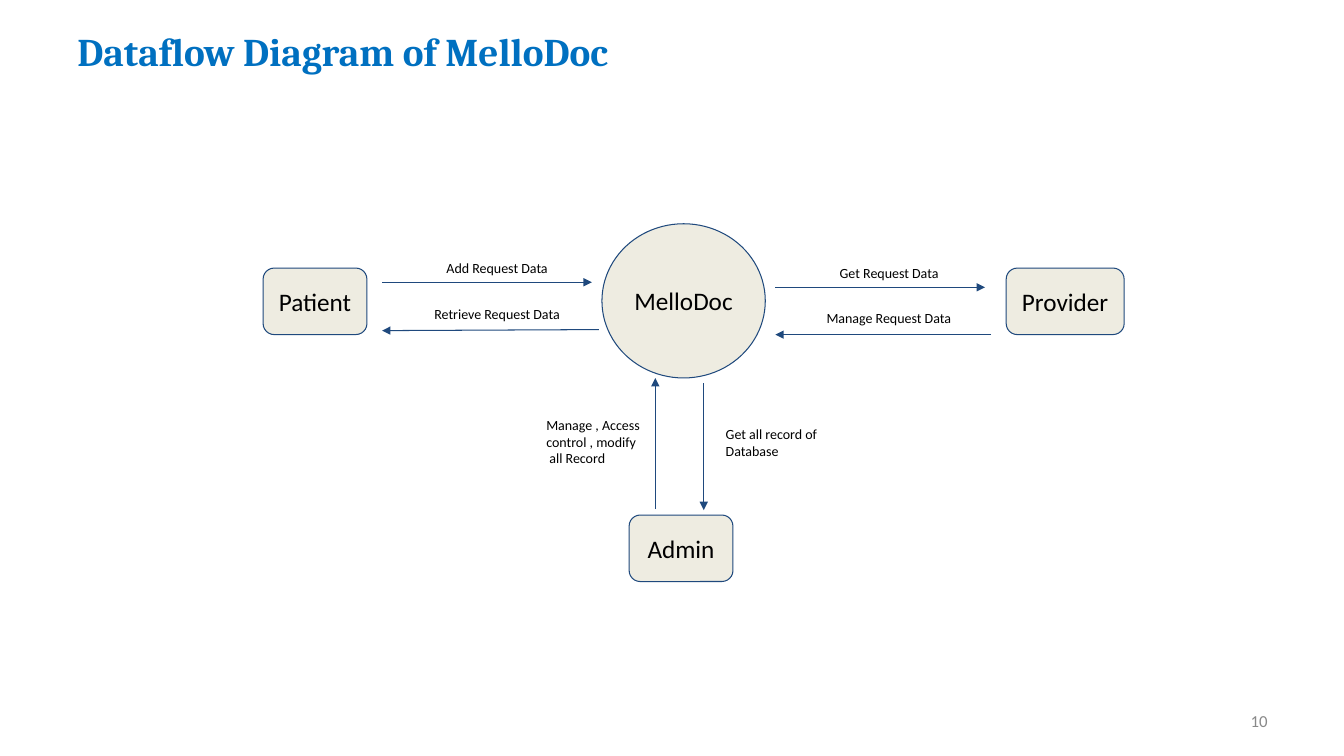
from dataclasses import dataclass

from lxml.etree import SubElement
from pptx import Presentation
from pptx.dml.color import RGBColor
from pptx.enum.shapes import MSO_CONNECTOR, MSO_SHAPE
from pptx.enum.text import MSO_ANCHOR, PP_ALIGN
from pptx.oxml.ns import qn
from pptx.util import Inches, Pt

NAVY, CREAM, BLUE, BLACK, GRAY = "1F497D", "EEECE1", "0070C0", "000000", "898989"
SYSTEM = "MelloDoc"


@dataclass
class Node:
    text: str
    left: float
    top: float
    width: float
    height: float
    preset: MSO_SHAPE = MSO_SHAPE.ROUNDED_RECTANGLE


@dataclass
class Flow:
    start: tuple[float, float]
    end: tuple[float, float]


@dataclass
class Label:
    text: str
    left: float
    top: float
    width: float
    height: float
    anchor: MSO_ANCHOR = MSO_ANCHOR.MIDDLE


NODES = [
    Node("Admin", 6.24, 5.11, 1.03, 0.66),
    Node(SYSTEM, 5.97, 2.22, 1.62, 1.53, MSO_SHAPE.OVAL),
    Node("Provider", 9.98, 2.66, 1.17, 0.66),
    Node("Patient", 2.61, 2.66, 1.03, 0.66),
]
FLOWS = [
    Flow((3.79, 2.8), (5.87, 2.8)),
    Flow((5.94, 3.27), (3.79, 3.28)),
    Flow((7.69, 2.85), (9.77, 2.85)),
    Flow((9.83, 3.32), (7.69, 3.32)),
    Flow((6.98, 3.8), (6.98, 5.06)),
    Flow((6.5, 5.05), (6.5, 3.75)),
]
LABELS = [
    Label("Add Request Data", 4.33, 2.56, 1.32, 0.2),
    Label("Retrieve Request Data", 4.21, 2.95, 1.54, 0.37, MSO_ANCHOR.TOP),
    Label("Get Request Data", 8.23, 2.61, 1.32, 0.2),
    Label("Manage Request Data", 8.1, 2.99, 1.54, 0.37, MSO_ANCHOR.TOP),
    Label("Get all record of\nDatabase", 7.1, 4.09, 1.86, 0.59),
    Label("Manage , Access control , modify\n all Record", 5.32, 4.03, 1.32, 0.7,
          MSO_ANCHOR.TOP),
]


def color(value: str) -> RGBColor:
    return RGBColor.from_string(value)


def write_text(shape, text: str, *, size: float, font: str = "Calibri",
               fill: str = BLACK, bold: bool = False, align=PP_ALIGN.LEFT,
               anchor=MSO_ANCHOR.MIDDLE, inset: tuple[float, float] = (0.1, 0.1),
               wrap: bool = True) -> None:
    frame = shape.text_frame
    frame.word_wrap = wrap
    frame.vertical_anchor = anchor
    frame.margin_left = frame.margin_right = Inches(inset[0])
    frame.margin_top = frame.margin_bottom = Inches(inset[1])
    frame.text = text
    for paragraph in frame.paragraphs:
        paragraph.alignment = align
        for run in paragraph.runs:
            run.font.name = font
            run.font.size = Pt(size)
            run.font.bold = bold
            run.font.color.rgb = color(fill)


def add_text(slide, text: str, left: float, top: float, width: float,
             height: float, **text_format) -> None:
    box = slide.shapes.add_textbox(*map(Inches, (left, top, width, height)))
    write_text(box, text, **text_format)


def add_node(slide, node: Node) -> None:
    shape = slide.shapes.add_shape(
        node.preset, *map(Inches, (node.left, node.top, node.width, node.height)))
    shape.shadow.inherit = False
    shape.fill.solid()
    shape.fill.fore_color.rgb = color(CREAM)
    shape.line.color.rgb = color(NAVY)
    shape.line.width = Pt(0.75)
    write_text(shape, node.text, size=18, align=PP_ALIGN.CENTER, wrap=False)


def add_flow(slide, flow: Flow) -> None:
    connector = slide.shapes.add_connector(
        MSO_CONNECTOR.STRAIGHT, *map(Inches, flow.start + flow.end))
    connector.line.color.rgb = color(NAVY)
    connector.line.width = Pt(0.75)
    line = connector.line._get_or_add_ln()
    SubElement(line, qn("a:tailEnd"), type="triangle")
    SubElement(connector._element.spPr, qn("a:effectLst"))


def main() -> None:
    presentation = Presentation()
    presentation.slide_width = Inches(13.33)
    presentation.slide_height = Inches(7.5)
    slide = presentation.slides.add_slide(presentation.slide_layouts[6])

    # Title and slide number
    add_text(slide, f"Dataflow Diagram of {SYSTEM}", 0.67, 0, 12.01, 1,
             size=28, font="Cambria", fill=BLUE, bold=True, inset=(0.1, 0.05))
    add_text(slide, "10", 9.56, 6.95, 3.11, 0.4,
             size=12, fill=GRAY, align=PP_ALIGN.RIGHT, inset=(0.1, 0.05))

    # Actors and system
    for node in NODES:
        add_node(slide, node)

    # Data flows and their labels
    for flow in FLOWS:
        add_flow(slide, flow)
    for label in LABELS:
        add_text(slide, label.text, label.left, label.top, label.width,
                 label.height, size=10, anchor=label.anchor)

    presentation.save("out.pptx")


if __name__ == "__main__":
    main()
